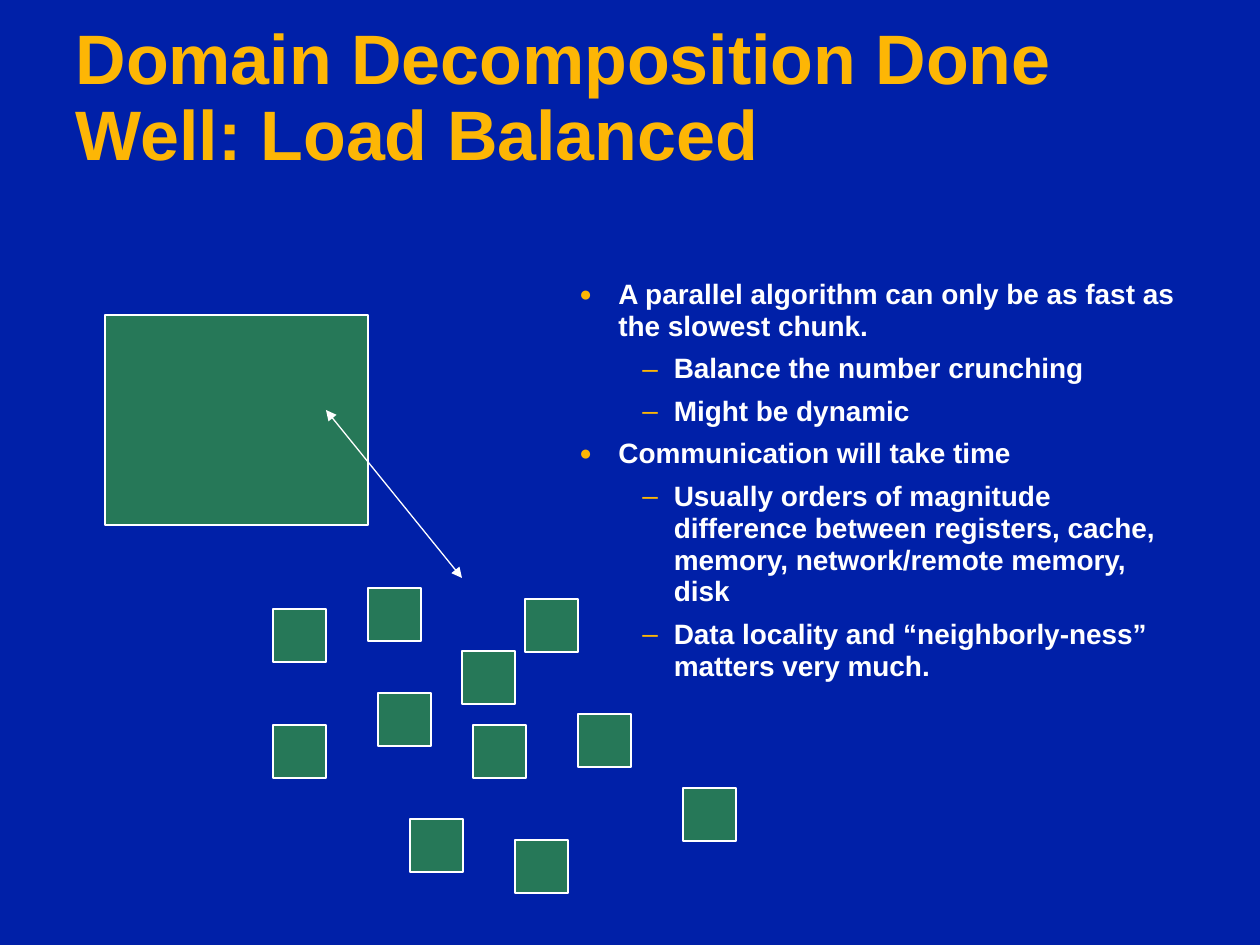
from dataclasses import dataclass

from lxml import etree
from pptx import Presentation
from pptx import util as u
from pptx.dml.color import RGBColor
from pptx.enum import shapes, text
from pptx.oxml.ns import qn

SCALE = 914400 / 126  # EMU in one px


@dataclass(frozen=True)
class Theme:
    back: str = "0020A8"
    gold: str = "FDB605"
    white: str = "FFFFFF"
    green: str = "51DC00"
    alpha: int = 47
    font: str = "Arial"
    head: int = 40
    body: int = 16
    line: float = 0.75


def px(*vals):
    return [u.Emu(round(v * SCALE)) for v in vals]


def rgb(code):
    return RGBColor.from_string(code)


def sub(node, tag, **attrs):
    child = etree.SubElement(node, qn(tag))
    for key, val in attrs.items():
        child.set(key, str(val))
    return child


def write(para, words, *, size, color, font, space=0, lead=1.0):
    para.text = words
    para.alignment = text.PP_ALIGN.LEFT
    para.line_spacing = lead
    para.space_before = u.Pt(space)
    face = para.runs[0].font
    face.size, face.bold, face.name = u.Pt(size), True, font
    face.color.rgb = rgb(color)


class Deck:
    def __init__(self, theme):
        self.theme = theme
        self.file = Presentation()
        self.file.slide_width, self.file.slide_height = px(1260, 945)
        self.slide = self.file.slides.add_slide(self.file.slide_layouts[5])
        fill = self.slide.background.fill
        fill.solid()
        fill.fore_color.rgb = rgb(theme.back)

    def title(self, words, left, top, width, height):
        box = self.slide.shapes.title
        box.left, box.top, box.width, box.height = px(left, top, width, height)
        frame = box.text_frame
        frame.word_wrap = True
        frame.auto_size = text.MSO_AUTO_SIZE.NONE
        frame.vertical_anchor = text.MSO_ANCHOR.MIDDLE
        write(frame.paragraphs[0], words, size=self.theme.head,
              color=self.theme.gold, font=self.theme.font, lead=0.9)

    def block(self, left, top, width, height):
        box = self.slide.shapes.add_shape(
            shapes.MSO_SHAPE.RECTANGLE, *px(left, top, width, height))
        box.shadow.inherit = False
        box.fill.solid()
        box.fill.fore_color.rgb = rgb(self.theme.green)
        tint = box.fill._xPr.find(qn("a:solidFill"))[0]
        sub(tint, "a:alpha", val=self.theme.alpha * 1000)
        box.line.color.rgb = rgb(self.theme.white)
        box.line.width = u.Pt(self.theme.line)

    def arrow(self, *ends):
        line = self.slide.shapes.add_connector(
            shapes.MSO_CONNECTOR.STRAIGHT, *px(*ends))
        line.line.color.rgb = rgb(self.theme.white)
        line.line.width = u.Pt(self.theme.line)
        pen = line.line._get_or_add_ln()
        for tag in ("a:headEnd", "a:tailEnd"):
            sub(pen, tag, type="triangle")
        sub(line._element.spPr, "a:effectLst")

    def bullets(self, items, left, top, width, height):
        box = self.slide.shapes.add_textbox(*px(left, top, width, height))
        frame = box.text_frame
        frame.word_wrap = True
        for num, (level, words) in enumerate(items):
            para = frame.add_paragraph() if num else frame.paragraphs[0]
            para.level = level
            self.mark(para, level)
            write(para, words, size=self.theme.body, color=self.theme.white,
                  font=self.theme.font, space=6 if num else 0, lead=0.95)

    def mark(self, para, level):
        sign, share, indent, hang = (("●", 75, 0.31, 0.31),
                                     ("–", 100, 0.75, 0.25))[level]
        props = para._p.get_or_add_pPr()
        props.set("marL", str(u.Inches(indent)))
        props.set("indent", str(-u.Inches(hang)))
        sub(sub(props, "a:buClr"), "a:srgbClr", val=self.theme.gold)
        sub(props, "a:buSzPct", val=share * 1000)
        sub(props, "a:buFont", typeface=self.theme.font)
        sub(props, "a:buChar", char=sign)


CHUNK = 53
CHUNKS = [(368, 588), (525, 599), (273, 609), (378, 693), (273, 725),
          (473, 725), (578, 714), (683, 788), (515, 840), (410, 819),
          (462, 651)]
POINTS = [
    (0, "A parallel algorithm can only be as fast as the slowest chunk."),
    (1, "Balance the number crunching"),
    (1, "Might be dynamic"),
    (0, "Communication will take time"),
    (1, "Usually orders of magnitude difference between registers, cache, "
        "memory, network/remote memory, disk"),
    (1, "Data locality and “neighborly-ness” matters very much."),
]


def main():
    deck = Deck(Theme())
    # Whole domain and its even chunks
    deck.block(105, 315, 263, 210)
    for left, top in CHUNKS:
        deck.block(left, top, CHUNK, CHUNK)
    deck.arrow(326, 410, 462, 578)
    # Title and points
    deck.title("Domain Decomposition Done Well: Load Balanced",
               63, 21, 1101, 158)
    deck.bullets(POINTS, 567, 273, 630, 567)
    deck.file.save("out.pptx")


if __name__ == "__main__":
    main()
